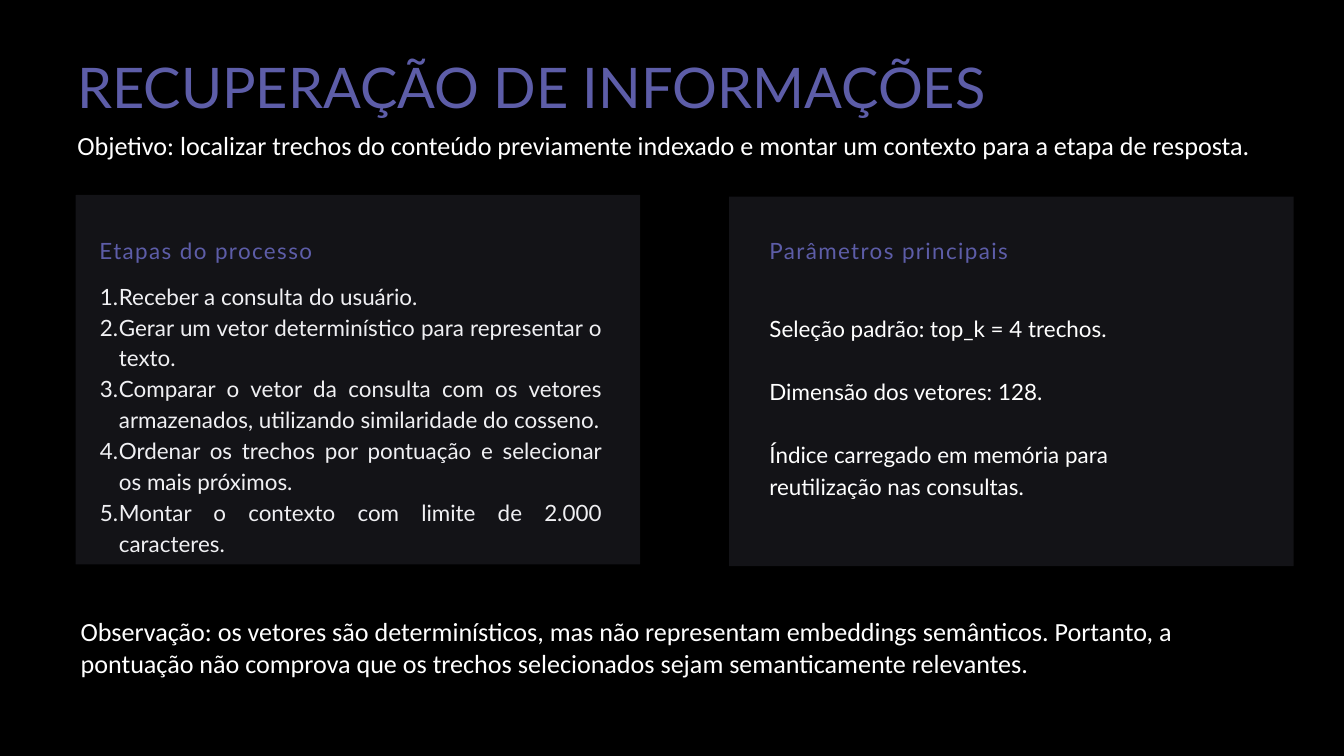
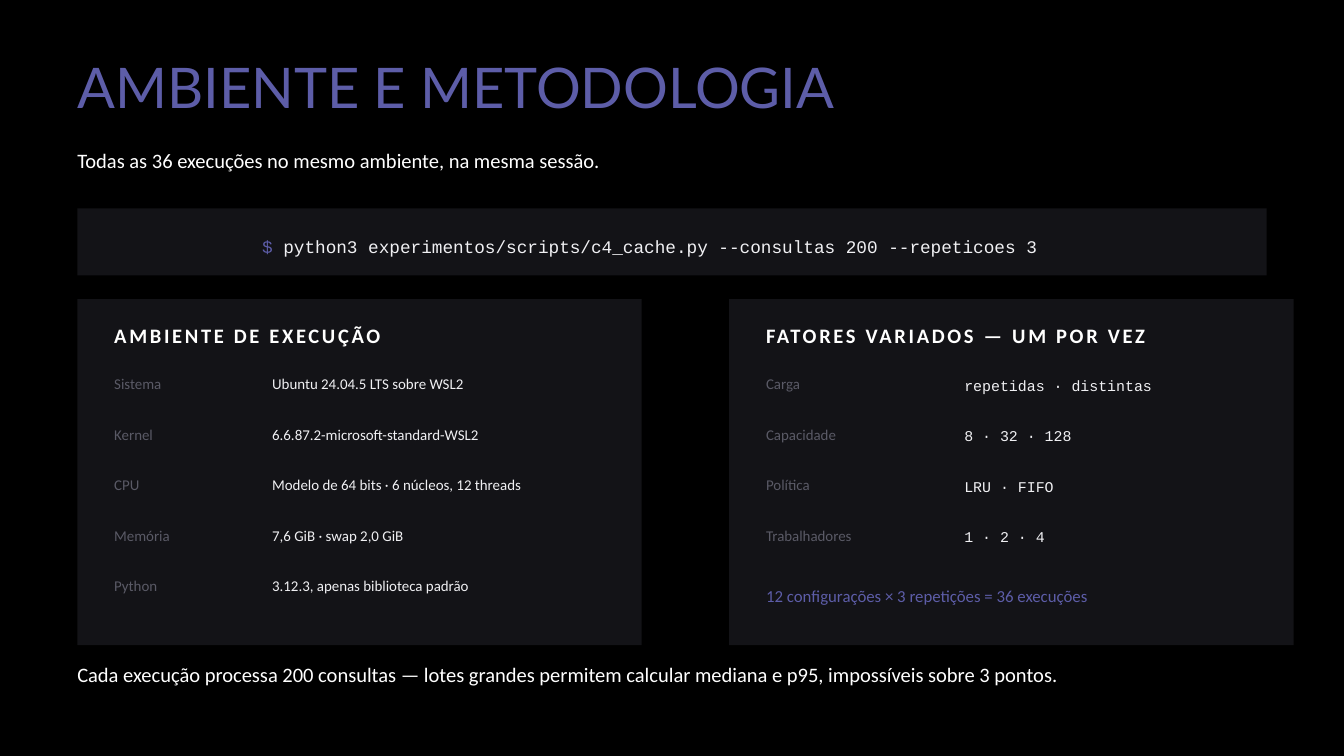
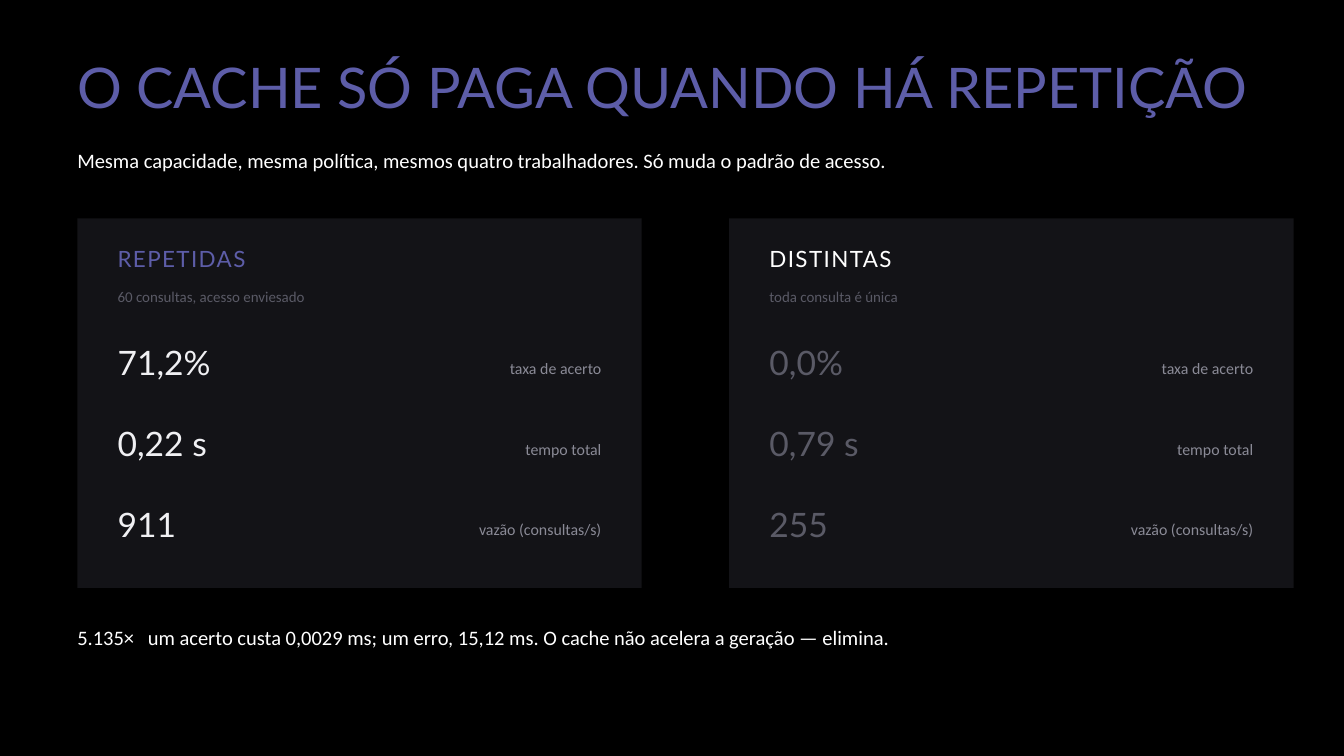
from lxml.etree import SubElement
from pptx import Presentation
from pptx.dml.color import RGBColor
from pptx.enum.shapes import MSO_SHAPE
from pptx.enum.text import PP_ALIGN
from pptx.oxml.ns import qn
from pptx.util import Pt

COLOURS = {
    "background": "000000",
    "card": "131317",
    "accent": "5D5DA8",
    "white": "FFFFFF",
    "light": "F0F0F3",
    "muted": "5A5A66",
    "grey": "8A8A96",
}
STYLES = {
    "title": ("Lato", 60, 65.5, 0),
    "statement": ("Calibri", 28, 35, 0),
    "note": ("Calibri", 22, 27.5, 0),
    "card title": ("Lato", 24, 30, 1.5),
    "caps title": ("Calibri", 22, 27.5, 2.9),
    "steps": ("Lato", 24, 33.1, 0),
    "parameters": ("Lato", 24, 33.8, 0),
    "command": ("Courier New", 19, 47.5, 0),
    "label": ("Calibri", 16, 20, 0),
    "code": ("Courier New", 16, 20, 0),
    "total": ("Calibri", 18, 22.5, 0),
    "figure": ("Lato", 36, 45, 0),
    "unit": ("Calibri", 17, 21.2, 0),
}
LEFT = 82.8
RIGHT = 781.2
FULL_WIDTH = 1274.4
CARD_WIDTH = 604.8


def add_card(slide, left, top, width, height):
    shape = slide.shapes.add_shape(MSO_SHAPE.RECTANGLE, Pt(left), Pt(top), Pt(width), Pt(height))
    shape.shadow.inherit = False
    shape.fill.solid()
    shape.fill.fore_color.rgb = RGBColor.from_string(COLOURS["card"])
    shape.line.fill.background()


def add_text(slide, left, top, width, height, style, *paragraphs, align=PP_ALIGN.LEFT, gap=0):
    font_name, size, line_spacing, tracking = STYLES[style]
    frame = slide.shapes.add_textbox(Pt(left), Pt(top), Pt(width), Pt(height)).text_frame
    frame.word_wrap = True
    frame.margin_left = frame.margin_top = frame.margin_right = frame.margin_bottom = 0
    for index, runs in enumerate(paragraphs):
        paragraph = frame.add_paragraph() if index else frame.paragraphs[0]
        paragraph.alignment = align
        paragraph.line_spacing = Pt(line_spacing)
        if index and gap:
            paragraph.space_before = Pt(gap)
        for text, colour in runs:
            run = paragraph.add_run()
            run.text = text
            run.font.name = font_name
            run.font.size = Pt(size)
            run.font.bold = style == "caps title"
            run.font.color.rgb = RGBColor.from_string(COLOURS[colour])
            if tracking:
                run.font._element.set("spc", str(round(tracking * 100)))
    return frame


presentation = Presentation()
presentation.slide_width = Pt(1440)
presentation.slide_height = Pt(810)

slides = []
for title in (
    "RECUPERAÇÃO DE INFORMAÇÕES",
    "AMBIENTE E METODOLOGIA",
    "O CACHE SÓ PAGA QUANDO HÁ REPETIÇÃO",
):
    slide = presentation.slides.add_slide(presentation.slide_layouts[6])
    slide.background.fill.solid()
    slide.background.fill.fore_color.rgb = RGBColor.from_string(COLOURS["background"])
    add_text(slide, LEFT, 62.6, FULL_WIDTH, 66, "title", [(title, "accent")])
    slides.append(slide)
retrieval, environment, cache = slides

objective = "Objetivo: localizar trechos do conteúdo previamente indexado e montar um contexto para a etapa de resposta."
add_text(retrieval, LEFT, 137.2, 1270.8, 73, "statement", [(objective, "white")])
add_card(retrieval, 81, 208.8, CARD_WIDTH, 396)
add_card(retrieval, RIGHT, 210.6, CARD_WIDTH, 396)
for left, heading in ((106.6, "Etapas do processo"), (824.4, "Parâmetros principais")):
    add_text(retrieval, left, 252.4, 518.4, 30, "card title", [(heading, "accent")])

steps = (
    "Receber a consulta do usuário.",
    "Gerar um vetor determinístico para representar o texto.",
    "Comparar o vetor da consulta com os vetores armazenados, utilizando similaridade do cosseno.",
    "Ordenar os trechos por pontuação e selecionar os mais próximos.",
    "Montar o contexto com limite de 2.000 caracteres.",
)
step_frame = add_text(retrieval, 86.4, 298.6, 558, 296.6, "steps",
                      *[[(step, "light")] for step in steps], align=PP_ALIGN.JUSTIFY)
for paragraph in step_frame.paragraphs:
    properties = paragraph._p.get_or_add_pPr()
    properties.set("marL", str(Pt(41)))
    properties.set("indent", str(Pt(-20.4)))
    SubElement(properties, qn("a:buFont"), typeface="+mj-lt")
    SubElement(properties, qn("a:buAutoNum"), type="arabicPeriod")

parameters = (
    "Seleção padrão: top_k = 4 trechos.",
    "Dimensão dos vetores: 128.",
    "Índice carregado em memória para reutilização nas consultas.",
)
add_text(retrieval, 824.4, 332.6, 457.2, 234.8, "parameters",
         *[[(parameter, "white")] for parameter in parameters], gap=33.8)
remark = (
    "Observação: os vetores são determinísticos, mas não representam embeddings semânticos. "
    "Portanto, a pontuação não comprova que os trechos selecionados sejam semanticamente relevantes."
)
add_text(retrieval, 86.4, 657.5, FULL_WIDTH, 107.6, "statement", [(remark, "white")])

for slide, subtitle in (
    (environment, "Todas as 36 execuções no mesmo ambiente, na mesma sessão."),
    (cache, "Mesma capacidade, mesma política, mesmos quatro trabalhadores. Só muda o padrão de acesso."),
):
    add_text(slide, LEFT, 157.7, FULL_WIDTH, 30, "note", [(subtitle, "white")])

add_card(environment, LEFT, 223.2, FULL_WIDTH, 72)
command = "python3 experimentos/scripts/c4_cache.py --consultas 200 --repeticoes 3"
add_text(environment, 280.8, 228.2, 854, 41.8, "command", [("$ ", "accent"), (command, "light")])

environment_rows = (
    ("Sistema", "Ubuntu 24.04.5 LTS sobre WSL2"),
    ("Kernel", "6.6.87.2-microsoft-standard-WSL2"),
    ("CPU", "Modelo de 64 bits · 6 núcleos, 12 threads"),
    ("Memória", "7,6 GiB · swap 2,0 GiB"),
    ("Python", "3.12.3, apenas biblioteca padrão"),
)
factor_rows = (
    ("Carga", "repetidas · distintas"),
    ("Capacidade", "8 · 32 · 128"),
    ("Política", "LRU · FIFO"),
    ("Trabalhadores", "1 · 2 · 4"),
)
for card_left, heading, rows, label_width, value_style, value_drop in (
    (LEFT, "AMBIENTE DE EXECUÇÃO", environment_rows, 158.4, "label", 0),
    (RIGHT, "FATORES VARIADOS — UM POR VEZ", factor_rows, 201.6, "code", 1.4),
):
    left = card_left + 39.6
    value_left = left + label_width + 10.8
    value_width = 514.8 - label_width
    add_card(environment, card_left, 320.4, CARD_WIDTH, 370.8)
    add_text(environment, left, 344.9, 525.6, 30, "caps title", [(heading, "white")])
    for row, (label, value) in enumerate(rows):
        top = 401 + row * 54
        add_text(environment, left, top, label_width, 34.6, "label", [(label, "muted")])
        add_text(environment, value_left, top + value_drop, value_width, 33.1, value_style, [(value, "light")])
add_text(environment, 820.8, 626.4, 525.6, 46.8, "total",
         [("12 configurações × 3 repetições = 36 execuções", "accent")])
conclusion = (
    "Cada execução processa 200 consultas — lotes grandes permitem calcular mediana e p95, "
    "impossíveis sobre 3 pontos."
)
add_text(environment, LEFT, 708.5, FULL_WIDTH, 30, "note", [(conclusion, "white")])

measures = ("taxa de acerto", "tempo total", "vazão (consultas/s)")
for card_left, heading, heading_colour, detail, figures, figure_colour in (
    (LEFT, "REPETIDAS", "accent", "60 consultas, acesso enviesado", ("71,2%", "0,22 s", "911"), "light"),
    (RIGHT, "DISTINTAS", "white", "toda consulta é única", ("0,0%", "0,79 s", "255"), "muted"),
):
    left = card_left + 43.2
    add_card(cache, card_left, 234, CARD_WIDTH, 396)
    add_text(cache, left, 261.4, 518.4, 41, "card title", [(heading, heading_colour)])
    add_text(cache, left, 307.4, 518.4, 34.6, "label", [(detail, "muted")])
    for row, (figure, measure) in enumerate(zip(figures, measures)):
        top = 365 + row * 86.4
        add_text(cache, left, top, 244.8, 67, "figure", [(figure, figure_colour)])
        add_text(cache, left + 237.6, top + 18.7, 280.8, 43.2, "unit", [(measure, "grey")], align=PP_ALIGN.RIGHT)

summary = "5.135×\tum acerto custa 0,0029 ms; um erro, 15,12 ms. O cache não acelera a geração — elimina."
summary_frame = add_text(cache, LEFT, 668.9, FULL_WIDTH, 30, "note", [(summary, "white")])
tab_stops = SubElement(summary_frame.paragraphs[0]._p.get_or_add_pPr(), qn("a:tabLst"))
SubElement(tab_stops, qn("a:tab"), pos=str(Pt(75.6)), algn="l")

presentation.save("out.pptx")
